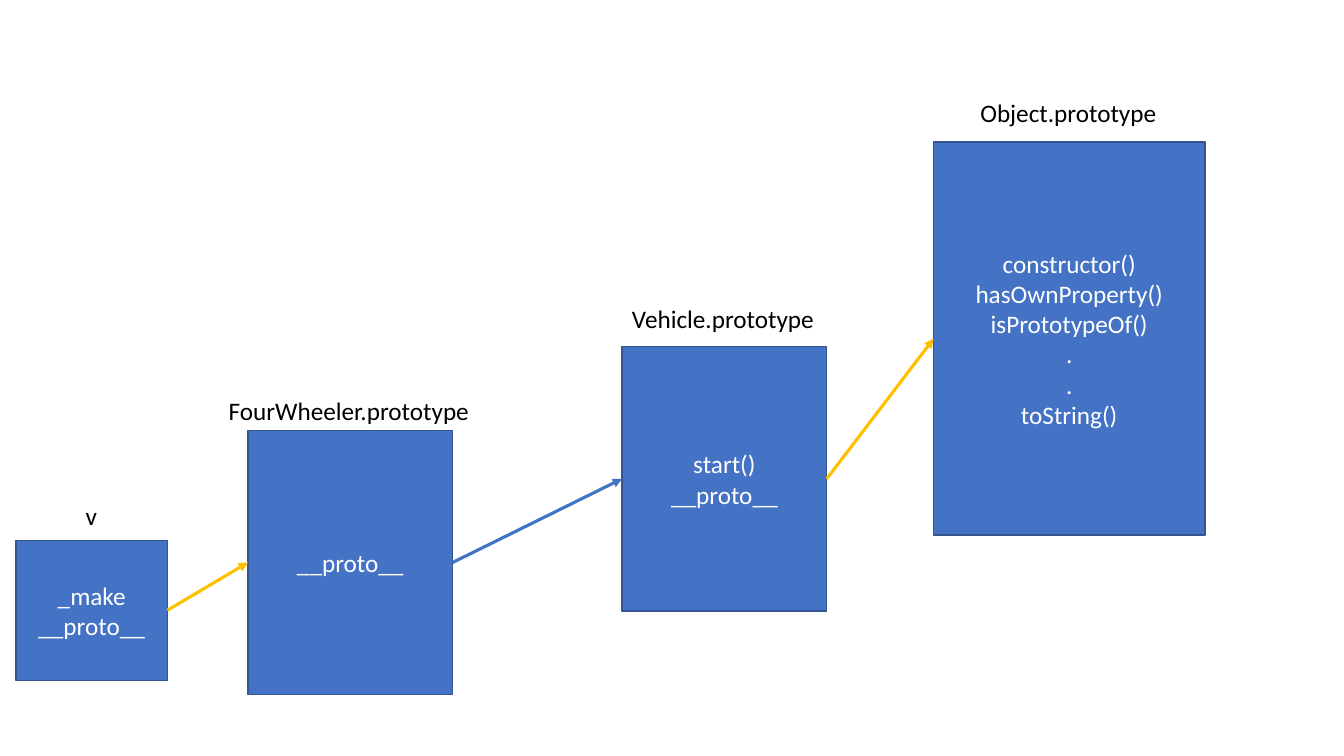
from lxml import etree
from pptx import Presentation, util as u
from pptx.dml.color import RGBColor
from pptx.enum import shapes, text
from pptx.oxml.ns import qn

BLUE = RGBColor(0x44, 0x72, 0xC4)
EDGE = RGBColor(0x32, 0x54, 0x91)
GOLD = RGBColor(0xFF, 0xC0, 0x00)
WHITE = RGBColor(0xFF, 0xFF, 0xFF)
BLACK = RGBColor(0x00, 0x00, 0x00)
FONT, SIZE = "Calibri", u.Pt(18)
LABEL_HEIGHT = 0.4

# name, name width, gap from name top to box, box (left, top, width, height), members
CHAIN = [
    ("v", 0.32, 0.45, (0.16, 5.36, 1.5, 1.39), ["_make", "__proto__"]),
    ("FourWheeler.prototype", 2.61, 0.4, (2.46, 4.27, 2.03, 2.62), ["__proto__"]),
    ("Vehicle.prototype", 2.03, 0.48, (6.17, 3.44, 2.03, 2.62),
     ["start()", "__proto__"]),
    ("Object.prototype", 1.96, 0.49, (9.26, 1.41, 2.69, 3.9),
     ["constructor()", "hasOwnProperty()", "isPrototypeOf()", ".", ".", "toString()"]),
]
LINK_COLORS = [GOLD, BLUE, GOLD]
RIGHT_SITE, LEFT_SITE = 3, 1


def write(tf, lines, color, align):
    for i, line in enumerate(lines):
        p = tf.add_paragraph() if i else tf.paragraphs[0]
        p.text = line
        p.alignment = align
        p.font.name, p.font.size = FONT, SIZE
        p.font.color.rgb = color


def add_box(slide, place, members):
    sp = slide.shapes.add_shape(shapes.MSO_SHAPE.RECTANGLE, *map(u.Inches, place))
    sp.shadow.inherit = False
    sp.fill.solid()
    sp.fill.fore_color.rgb = BLUE
    sp.line.color.rgb = EDGE
    sp.line.width = u.Pt(1)
    sp.text_frame.vertical_anchor = text.MSO_ANCHOR.MIDDLE
    write(sp.text_frame, members, WHITE, text.PP_ALIGN.CENTER)
    return sp


def add_label(slide, name, width, gap, place):
    """Centre a name above its box."""
    left, top, box_width, _ = place
    at = (left + (box_width - width) / 2, top - gap, width, LABEL_HEIGHT)
    tf = slide.shapes.add_textbox(*map(u.Inches, at)).text_frame
    tf.word_wrap = False
    tf.auto_size = text.MSO_AUTO_SIZE.SHAPE_TO_FIT_TEXT
    write(tf, [name], BLACK, text.PP_ALIGN.LEFT)


def add_link(slide, child, parent, color):
    link = slide.shapes.add_connector(shapes.MSO_CONNECTOR.STRAIGHT, 0, 0, 0, 0)
    link.begin_connect(child, RIGHT_SITE)
    link.end_connect(parent, LEFT_SITE)
    link.line.color.rgb = color
    link.line.width = u.Pt(2.25)
    etree.SubElement(link.line._get_or_add_ln(), qn("a:tailEnd"), type="triangle")
    etree.SubElement(link._element.spPr, qn("a:effectLst"))


def main():
    prs = Presentation()
    prs.slide_width, prs.slide_height = u.Inches(13.33), u.Inches(7.5)
    slide = prs.slides.add_slide(prs.slide_layouts.get_by_name("Blank"))
    boxes = []
    for name, width, gap, place, members in CHAIN:
        boxes.append(add_box(slide, place, members))
        add_label(slide, name, width, gap, place)
    for child, parent, color in zip(boxes, boxes[1:], LINK_COLORS):
        add_link(slide, child, parent, color)
    prs.save("out.pptx")


if __name__ == "__main__":
    main()
